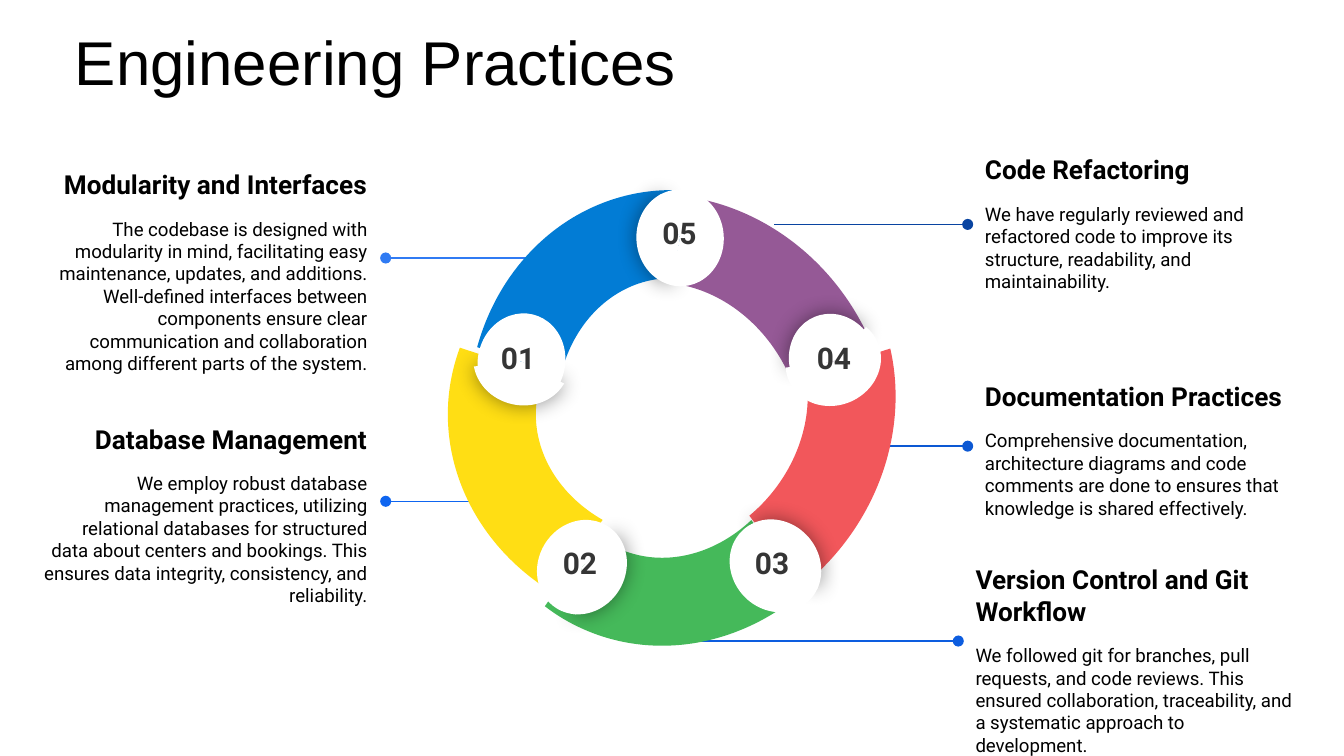
from lxml.etree import SubElement
from pptx import Presentation
from pptx.dml.color import RGBColor
from pptx.enum.shapes import MSO_CONNECTOR, MSO_SHAPE
from pptx.enum.text import MSO_ANCHOR, PP_ALIGN
from pptx.oxml.ns import qn
from pptx.util import Inches, Pt

THEME = {
    "title_font": "Arial", "body_font": "Roboto",
    "title_size": 33.1, "heading_size": 14, "body_size": 10, "number_size": 16,
    "text": "000000", "number": "353535", "disc": "FFFFFF", "shadow": "000000",
    "yellow": "FFDE14", "red": "F2575B", "purple": "955996",
    "green": "45B95A", "blue": "027CD5",
}

TITLE = "Engineering Practices"

CALLOUTS = [
    {"heading": "Modularity and Interfaces",
     "body": "The codebase is designed with modularity in mind, facilitating easy maintenance, "
             "updates, and additions. Well-defined interfaces between components ensure clear "
             "communication and collaboration among different parts of the system.",
     "box": (0.22, 1.37, 2.61, 1.3), "align": PP_ALIGN.RIGHT,
     "line": (4.25, 2.87, 1.92), "color": "307BF3"},
    {"heading": "Database Management",
     "body": "We employ robust database management practices, utilizing relational databases "
             "for structured data about centers and bookings. This ensures data integrity, "
             "consistency, and reliability.",
     "box": (0.22, 3.2, 2.61, 1.26), "align": PP_ALIGN.RIGHT,
     "line": (3.92, 2.87, 3.73), "color": "0E65F0"},
    {"heading": "Version Control and Git Workflow",
     "body": "We followed git for branches, pull requests, and code reviews. This ensured "
             "collaboration, traceability, and a systematic approach to development.",
     "box": (7.16, 4.2, 2.58, 1.42), "align": PP_ALIGN.LEFT,
     "line": (5.06, 7.13, 4.77), "color": "0D5DDF"},
    {"heading": "Code Refactoring",
     "body": "We have regularly reviewed and refactored code to improve its structure, "
             "readability, and maintainability.",
     "box": (7.23, 1.03, 2.58, 1.26), "align": PP_ALIGN.LEFT,
     "line": (5.76, 7.2, 1.67), "color": "0944A1"},
    {"heading": "Documentation Practices",
     "body": "Comprehensive documentation, architecture diagrams and code comments are done "
             "to ensures that knowledge is shared effectively.",
     "box": (7.23, 2.67, 2.58, 1.35), "align": PP_ALIGN.LEFT,
     "line": (6.21, 7.2, 3.32), "color": "0C58D3"},
]

RING = [
    ("arc", "yellow", (5.05, 3.12), 277),
    ("arc", "red", (5.03, 3.11), 132),
    ("arc", "purple", (5.03, 3.13), 60),
    ("disc", "04", (6.2, 2.69), 67.1),
    ("arc", "green", (5.04, 3.11), 204),
    ("disc", "02", (4.33, 4.22), 211.1),
    ("arc", "blue", (5.05, 3.13), 350),
    ("disc", "05", (5.06, 1.77), 357.1),
    ("disc", "03", (5.77, 4.21), 139.1),
    ("disc", "01", (3.88, 2.69), 284.1),
]
NUMBERS = [("05", 4.77, 1.5), ("01", 3.57, 2.43), ("02", 4.03, 3.95),
           ("03", 5.46, 3.95), ("04", 5.92, 2.43)]

ARC_SIZE, ARC_ADJUSTMENTS = (3.12, 3.44), (126.03, 168.68, 0.21)
DISC_SIZE = (0.65, 0.72)
SHADED_HALF, COVER_HALF = (61.9, 149.96), (40.28, 171.84)
COVER_TURN = 179.3
NUMBER_SIZE = (0.57, 0.33)


def add_text(slide, box, paragraphs, align=PP_ALIGN.LEFT, anchor=MSO_ANCHOR.TOP):
    frame = slide.shapes.add_textbox(*map(Inches, box)).text_frame
    frame.word_wrap = True
    frame.vertical_anchor = anchor
    frame.margin_left = frame.margin_right = Inches(0.1)
    frame.margin_top = frame.margin_bottom = Inches(0.1)
    for index, (text, font, size, color, bold, space_after) in enumerate(paragraphs):
        paragraph = frame.add_paragraph() if index else frame.paragraphs[0]
        paragraph.text = text
        paragraph.alignment = align
        paragraph.space_after = Pt(space_after)
        paragraph.font.name = THEME[font]
        paragraph.font.size = Pt(THEME[size])
        paragraph.font.color.rgb = RGBColor.from_string(THEME[color])
        paragraph.font.bold = bold


def add_callout(slide, callout):
    start, end, height = callout["line"]
    connector = slide.shapes.add_connector(
        MSO_CONNECTOR.STRAIGHT, *map(Inches, (start, height, end, height)))
    connector.line.color.rgb = RGBColor.from_string(callout["color"])
    connector.line.width = Pt(0.75)
    SubElement(connector.line._get_or_add_ln(), qn("a:tailEnd"), type="oval")
    SubElement(connector._element.spPr, qn("a:effectLst"))
    add_text(slide, callout["box"], [
        (callout["heading"], "body_font", "heading_size", "text", True, 9.4),
        (callout["body"], "body_font", "body_size", "text", False, 16),
    ], callout["align"], MSO_ANCHOR.MIDDLE)


def add_turned(slide, kind, center, size, rotation, adjustments, color):
    rotation %= 360
    width, height = reversed(size) if 45 < rotation < 135 else size
    left, top = center[0] - width / 2, center[1] - height / 2
    shape = slide.shapes.add_shape(kind, *map(Inches, (left, top, width, height)))
    shape.rotation = rotation
    for index, value in enumerate(adjustments):
        shape.adjustments[index] = value
    shape.fill.solid()
    shape.fill.fore_color.rgb = RGBColor.from_string(THEME[color])
    shape.line.fill.background()
    shape.shadow.inherit = False
    return shape


def add_shadow(shape):
    effects = shape._element.spPr.find(qn("a:effectLst"))
    shadow = SubElement(effects, qn("a:outerShdw"), blurRad=str(Pt(11.2)), dist="0",
                        dir="0", algn="ctr", rotWithShape="0")
    color = SubElement(shadow, qn("a:srgbClr"), val=THEME["shadow"])
    SubElement(color, qn("a:alpha"), val="43000")


def add_disc(slide, center, rotation):
    shaded = add_turned(slide, MSO_SHAPE.PIE, center, DISC_SIZE, rotation, SHADED_HALF, "disc")
    add_shadow(shaded)
    add_turned(slide, MSO_SHAPE.PIE, center, DISC_SIZE, rotation + COVER_TURN, COVER_HALF, "disc")


def main():
    presentation = Presentation()
    presentation.slide_width = Inches(10)
    presentation.slide_height = Inches(10) * 9 // 16
    slide = presentation.slides.add_slide(presentation.slide_layouts[6])
    for callout in CALLOUTS:
        add_callout(slide, callout)
    for kind, name, center, rotation in RING:
        if kind == "arc":
            add_turned(slide, MSO_SHAPE.BLOCK_ARC, center, ARC_SIZE, rotation,
                       ARC_ADJUSTMENTS, name)
        else:
            add_disc(slide, center, rotation)
    for number, left, top in NUMBERS:
        add_text(slide, (left, top, *NUMBER_SIZE),
                 [(number, "body_font", "number_size", "number", True, 0)], PP_ALIGN.CENTER)
    add_text(slide, (0.46, 0.08, 5.7, 0.95),
             [(TITLE, "title_font", "title_size", "text", False, 0)])
    presentation.save("out.pptx")


if __name__ == "__main__":
    main()
